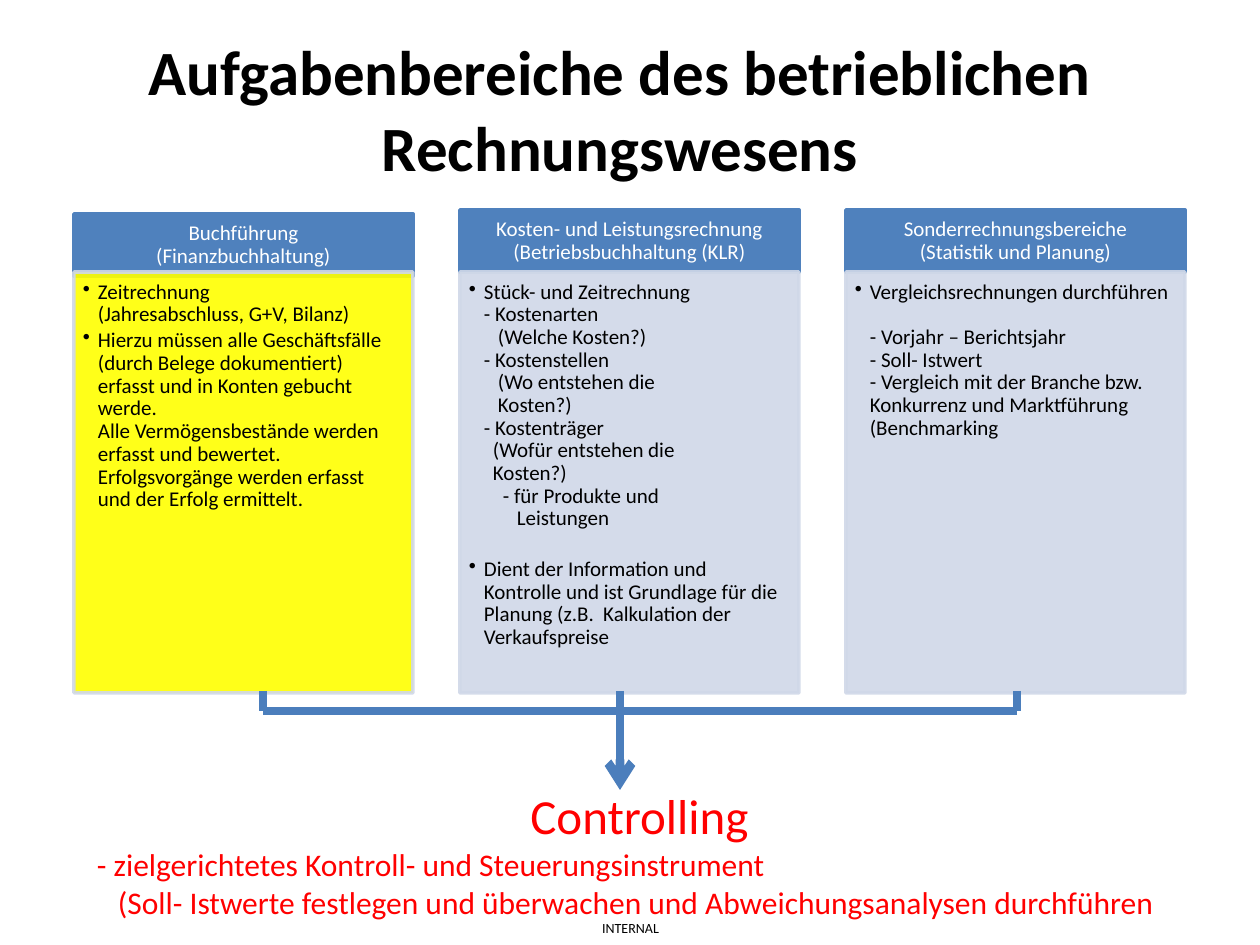
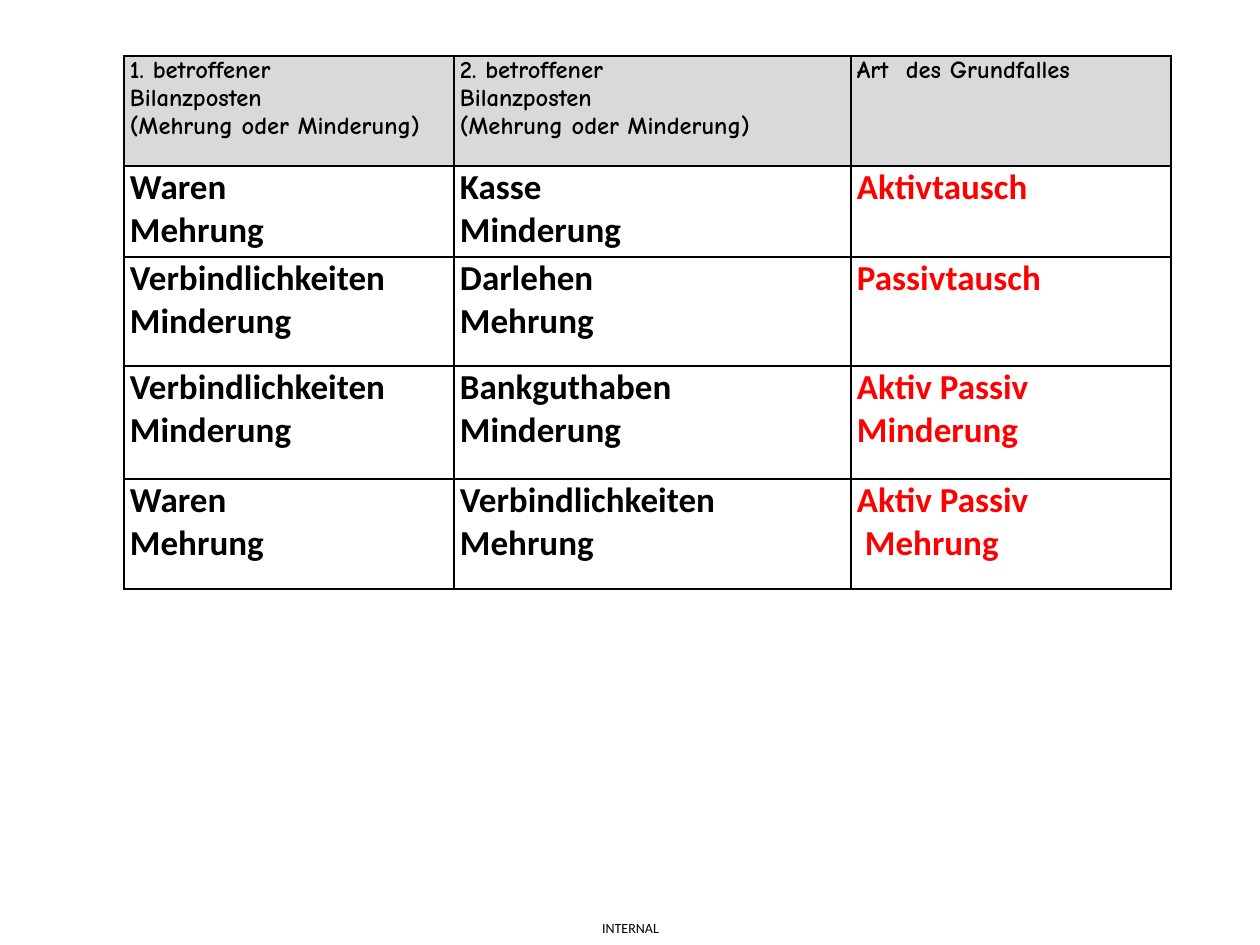
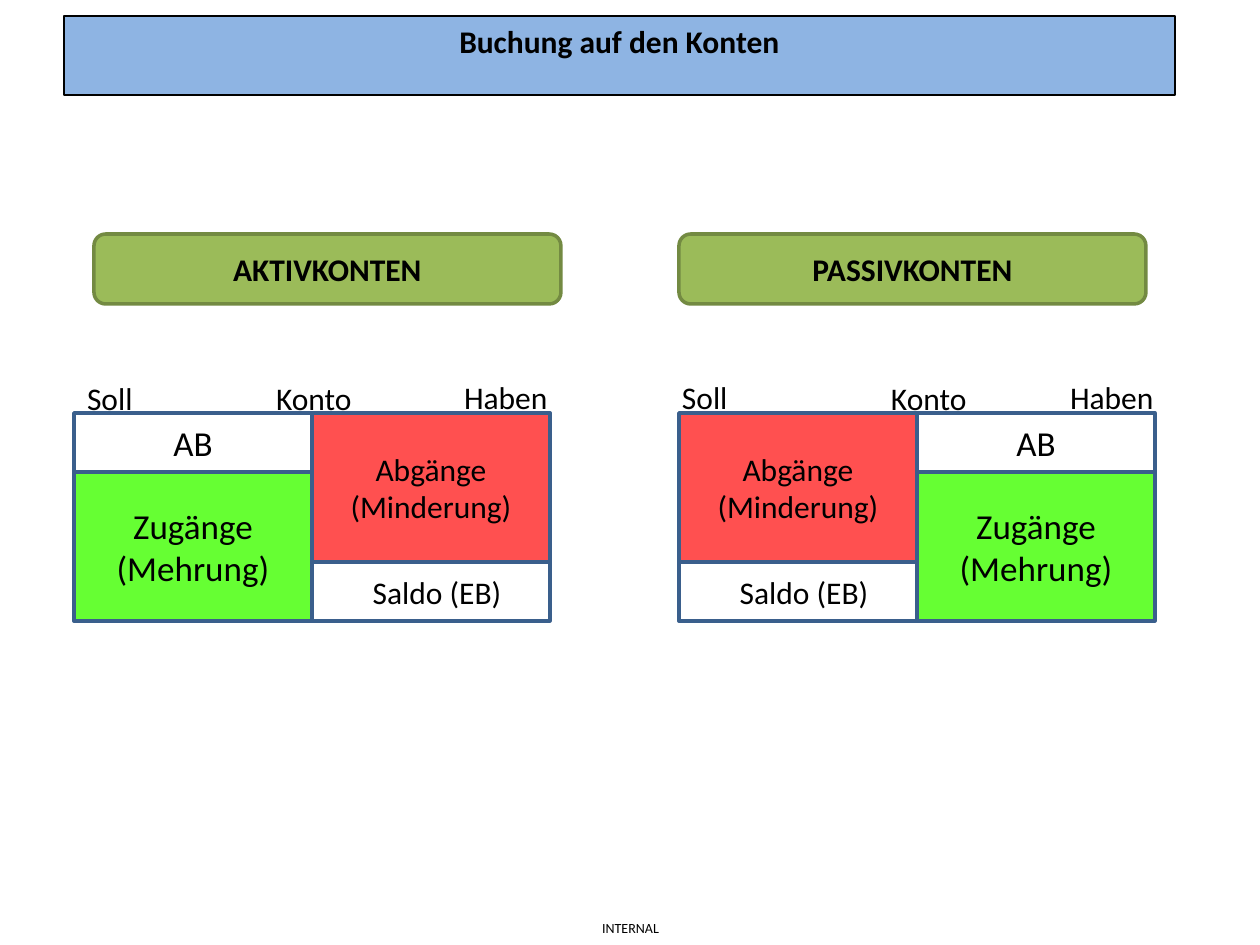
"""Build three slides on accounting: task areas, balance sheet cases and account postings."""
from lxml.etree import SubElement
from pptx import Presentation
from pptx.dml.color import RGBColor
from pptx.enum.shapes import MSO_CONNECTOR as CONN, MSO_SHAPE as SHAPE
from pptx.enum.text import MSO_ANCHOR as ANCHOR, MSO_AUTO_SIZE as AUTO, PP_ALIGN as ALIGN
from pptx.oxml.ns import qn
from pptx.util import Pt

PX = 914400 / 126
FONT, HEAD_FONT = "Calibri", "Comic Neue"
BLACK, WHITE, RED = "000000", "FFFFFF", "FF0000"
BLUE, PALE, YELLOW, ARROW = "4F81BD", "D0D8E8", "FFFF00", "4B7EBC"
BAND, OLIVE, OLIVE_EDGE = "8EB4E3", "9BBB59", "738A42"
GREEN, CORAL, EDGE, GREY = "66FF33", "FF5050", "3A5F8C", "D9D9D9"
INSETS = (13, 6, 13, 6)
TITLE_ONLY, EMPTY = 5, 6

TITLE = "Aufgabenbereiche des betrieblichen Rechnungswesens"
# Each body line: bullet, indent in px, space before in points, text.
AREAS = [
    (214, YELLOW, ["Buchführung", "(Finanzbuchhaltung)"], [
        (True, 0, 0, "Zeitrechnung"),
        (False, 0, 0, "(Jahresabschluss, G+V, Bilanz)"),
        (True, 0, 2, "Hierzu müssen alle Geschäftsfälle (durch Belege dokumentiert) "
                     "erfasst und in Konten gebucht werde."),
        (False, 0, 0, "Alle Vermögensbestände werden erfasst und bewertet."),
        (False, 0, 0, "Erfolgsvorgänge werden erfasst und der Erfolg ermittelt."),
    ]),
    (210, PALE, ["Kosten- und Leistungsrechnung", "(Betriebsbuchhaltung (KLR)"], [
        (True, 0, 0, "Stück- und Zeitrechnung"),
        (False, 0, 0, "- Kostenarten"),
        (False, 14, 0, "(Welche Kosten?)"),
        (False, 0, 0, "- Kostenstellen"),
        (False, 14, 0, "(Wo entstehen die"),
        (False, 14, 0, "Kosten?)"),
        (False, 0, 0, "- Kostenträger"),
        (False, 9, 0, "(Wofür entstehen die"),
        (False, 9, 0, "Kosten?)"),
        (False, 19, 0, "- für Produkte und"),
        (False, 33, 0, "Leistungen"),
        (True, 0, 16, "Dient der Information und Kontrolle und ist Grundlage für die "
                      "Planung (z.B.  Kalkulation der Verkaufspreise"),
    ]),
    (210, PALE, ["Sonderrechnungsbereiche", "(Statistik und Planung)"], [
        (True, 0, 0, "Vergleichsrechnungen durchführen"),
        (False, 0, 13, "- Vorjahr – Berichtsjahr"),
        (False, 0, 0, "- Soll- Istwert"),
        (False, 0, 0, "- Vergleich mit der Branche bzw. Konkurrenz und Marktführung"),
        (False, 0, 0, "(Benchmarking"),
    ]),
]
CONTROLLING = [
    "Controlling",
    "- zielgerichtetes Kontroll- und Steuerungsinstrument",
    "(Soll- Istwerte festlegen und überwachen und Abweichungsanalysen durchführen",
]
CASES = [
    (["1. betroffener", "Bilanzposten", "(Mehrung oder Minderung)"],
     ["2. betroffener", "Bilanzposten", "(Mehrung oder Minderung)"],
     ["Art  des Grundfalles"]),
    (["Waren", "Mehrung"], ["Kasse", "Minderung"], ["Aktivtausch"]),
    (["Verbindlichkeiten", "Minderung"], ["Darlehen", "Mehrung"], ["Passivtausch"]),
    (["Verbindlichkeiten", "Minderung"], ["Bankguthaben", "Minderung"],
     ["Aktiv Passiv", "Minderung"]),
    (["Waren", "Mehrung"], ["Verbindlichkeiten", "Mehrung"], ["Aktiv Passiv", "Mehrung"]),
]
CASE_WIDTHS, CASE_HEIGHTS = (330, 397, 320), (110, 91, 109, 113, 110)
# Each account: heading, heading left, account left, side of the increases, labels.
ACCOUNTS = [
    ("AKTIVKONTEN", 94, 74, 0, [("Soll", 74, 373), ("Konto", 263, 373), ("Haben", 451, 372)]),
    ("PASSIVKONTEN", 679, 679, 1, [("Soll", 669, 372), ("Konto", 878, 373), ("Haben", 1057, 372)]),
]


def px(n):
    return round(n * PX)


def rgb(code):
    return RGBColor.from_string(code)


def write(tf, lines, size, color=BLACK, bold=False, font=FONT, align=ALIGN.LEFT,
          anchor=ANCHOR.TOP, insets=INSETS, wrap=True, spacing=None):
    tf.text = "\n".join(lines)
    tf.auto_size, tf.word_wrap, tf.vertical_anchor = AUTO.NONE, wrap, anchor
    tf.margin_left, tf.margin_top, tf.margin_right, tf.margin_bottom = map(px, insets)
    style(tf.paragraphs, size, color, bold, font, align, spacing)


def style(paragraphs, size, color, bold, font, align, spacing=None):
    for p in paragraphs:
        p.alignment, p.line_spacing = align, spacing
        for r in p.runs:
            r.font.size, r.font.bold, r.font.name = Pt(size), bold, font
            r.font.color.rgb = rgb(color)


def indent(p, left, hang=0):
    pPr = p._p.get_or_add_pPr()
    pPr.set("marL", str(px(left)))
    pPr.set("indent", str(-px(hang)))
    return pPr


def paint(sp, fill, line, width):
    sp.fill.solid()
    sp.fill.fore_color.rgb = rgb(fill)
    sp.line.color.rgb = rgb(line)
    sp.line.width = Pt(width)


def box(s, at, fill, line, lines, size, kind=SHAPE.RECTANGLE, **fmt):
    sp = s.shapes.add_shape(kind, *map(px, at))
    sp.shadow.inherit = False
    paint(sp, fill, line, 2)
    write(sp.text_frame, lines, size, **fmt)
    return sp


def label(s, at, lines, size, **fmt):
    tf = s.shapes.add_textbox(*map(px, at)).text_frame
    write(tf, lines, size, **fmt)
    return tf


def set_title(s, at, text, size, anchor):
    sp = s.shapes.title
    sp.left, sp.top, sp.width, sp.height = map(px, at)
    write(sp.text_frame, [text], size, bold=True, align=ALIGN.CENTER, anchor=anchor)
    return sp


def connect(s, x1, y1, x2, y2, arrow=False):
    c = s.shapes.add_connector(CONN.STRAIGHT, *map(px, (x1, y1, x2, y2)))
    c.line.color.rgb, c.line.width = rgb(ARROW), Pt(5)
    if arrow:
        SubElement(c.line._get_or_add_ln(), qn("a:tailEnd"), type="arrow")
    SubElement(c.element.spPr, qn("a:effectLst"))


def new_slide(prs, layout):
    s = prs.slides.add_slide(prs.slide_layouts[layout])
    label(s, (602, 920, 59, 16), ["INTERNAL"], 8, insets=(0, 0, 0, 0), wrap=False)
    return s


def add_area(s, x, top, fill, heading, body):
    box(s, (x, top, 339, 62), BLUE, BLUE, heading, 12, color=WHITE, align=ALIGN.CENTER,
        anchor=ANCHOR.MIDDLE, insets=(11, 6, 11, 6), spacing=0.9)
    sp = box(s, (x, 272, 339, 421), fill, PALE, [line[-1] for line in body], 12,
             insets=(9, 9, 11, 13), spacing=0.9)
    for clr in list(sp.element.spPr.iter(qn("a:srgbClr"))):
        SubElement(clr, qn("a:alpha"), val="90000")
    for p, (bullet, extra, before, _) in zip(sp.text_frame.paragraphs, body):
        pPr = indent(p, 15 + extra, 15 if bullet else 0)
        if bullet:
            SubElement(pPr, qn("a:buChar"), char="•")
        if before:
            p.space_before = Pt(before)


def areas_slide(prs):
    s = new_slide(prs, TITLE_ONLY)
    set_title(s, (84, 26, 1072, 165), TITLE, 36, ANCHOR.MIDDLE)
    for i, area in enumerate(AREAS):
        add_area(s, 74 + 386 * i, *area)
    tf = label(s, (84, 780, 1111, 186), CONTROLLING, 28, color=RED)
    style(tf.paragraphs[1:], 18, RED, False, FONT, ALIGN.LEFT)
    tf.paragraphs[0].alignment = ALIGN.CENTER
    indent(tf.paragraphs[2], 21)
    left, middle, right, bar = 263, 620, 1017, 711
    connect(s, left, bar, right, bar)
    connect(s, middle, bar, middle, 790, arrow=True)
    for x, end in ((left, bar), (right, bar), (middle, 721)):
        connect(s, x, 691, x, end)


def add_borders(cell):
    tcPr = cell._tc.get_or_add_tcPr()
    for side in "LRTB":
        ln = SubElement(tcPr, qn(f"a:ln{side}"), w=str(Pt(1)))
        SubElement(SubElement(ln, qn("a:solidFill")), qn("a:srgbClr"), val=BLACK)


def cases_slide(prs):
    s = new_slide(prs, EMPTY)
    at = (124, 56, sum(CASE_WIDTHS), sum(CASE_HEIGHTS))
    table = s.shapes.add_table(len(CASES), len(CASE_WIDTHS), *map(px, at)).table
    table.first_row = table.horz_banding = False
    for col, width in zip(table.columns, CASE_WIDTHS):
        col.width = px(width)
    for i, (row, height) in enumerate(zip(table.rows, CASE_HEIGHTS)):
        row.height = px(height)
        for j, (cell, lines) in enumerate(zip(row.cells, CASES[i])):
            cell.margin_left = cell.margin_right = px(6)
            cell.margin_top = cell.margin_bottom = 0
            cell.text_frame.text = "\n".join(lines)
            add_borders(cell)
            if i == 0:
                cell.fill.solid()
                cell.fill.fore_color.rgb = rgb(GREY)
                style(cell.text_frame.paragraphs, 14, BLACK, True, HEAD_FONT, ALIGN.LEFT)
            else:
                cell.fill.background()
                style(cell.text_frame.paragraphs, 20, RED if j == 2 else BLACK, True, FONT,
                      ALIGN.JUSTIFY)
    indent(table.cell(4, 2).text_frame.paragraphs[1], 8)


def add_account(s, heading, heading_x, x, plus_side, labels):
    top, width, small, large = 413, 238, 59, 149
    centred = {"align": ALIGN.CENTER, "anchor": ANCHOR.MIDDLE}
    box(s, (heading_x, 234, 467, 70), OLIVE, OLIVE_EDGE, [heading], 18,
        SHAPE.ROUNDED_RECTANGLE, bold=True, **centred)
    plus, minus = x + width * plus_side, x + width * (1 - plus_side)
    box(s, (plus, top, width, small), WHITE, EDGE, ["AB"], 20, **centred)
    box(s, (plus, top + small, width, large), GREEN, EDGE, ["Zugänge", "(Mehrung)"], 20, **centred)
    box(s, (minus, top, width, large), CORAL, EDGE, ["Abgänge", "(Minderung)"], 18, **centred)
    box(s, (minus, top + large, width, small), WHITE, EDGE, ["Saldo (EB)"], 18,
        insets=(25, 6, 13, 6), **centred)
    for text, left, y in labels:
        label(s, (left, y, 110, 50), [text], 18, wrap=False)


def accounts_slide(prs):
    s = new_slide(prs, TITLE_ONLY)
    sp = set_title(s, (64, 16, 1111, 79), "Buchung auf den Konten", 18, ANCHOR.TOP)
    geom = SubElement(sp.element.spPr, qn("a:prstGeom"), prst="roundRect")
    SubElement(geom, qn("a:avLst"))
    paint(sp, BAND, BLACK, 0.75)
    for account in ACCOUNTS:
        add_account(s, *account)


def main():
    prs = Presentation()
    prs.slide_width, prs.slide_height = px(1260), px(945)
    areas_slide(prs)
    cases_slide(prs)
    accounts_slide(prs)
    prs.save("out.pptx")


if __name__ == "__main__":
    main()
